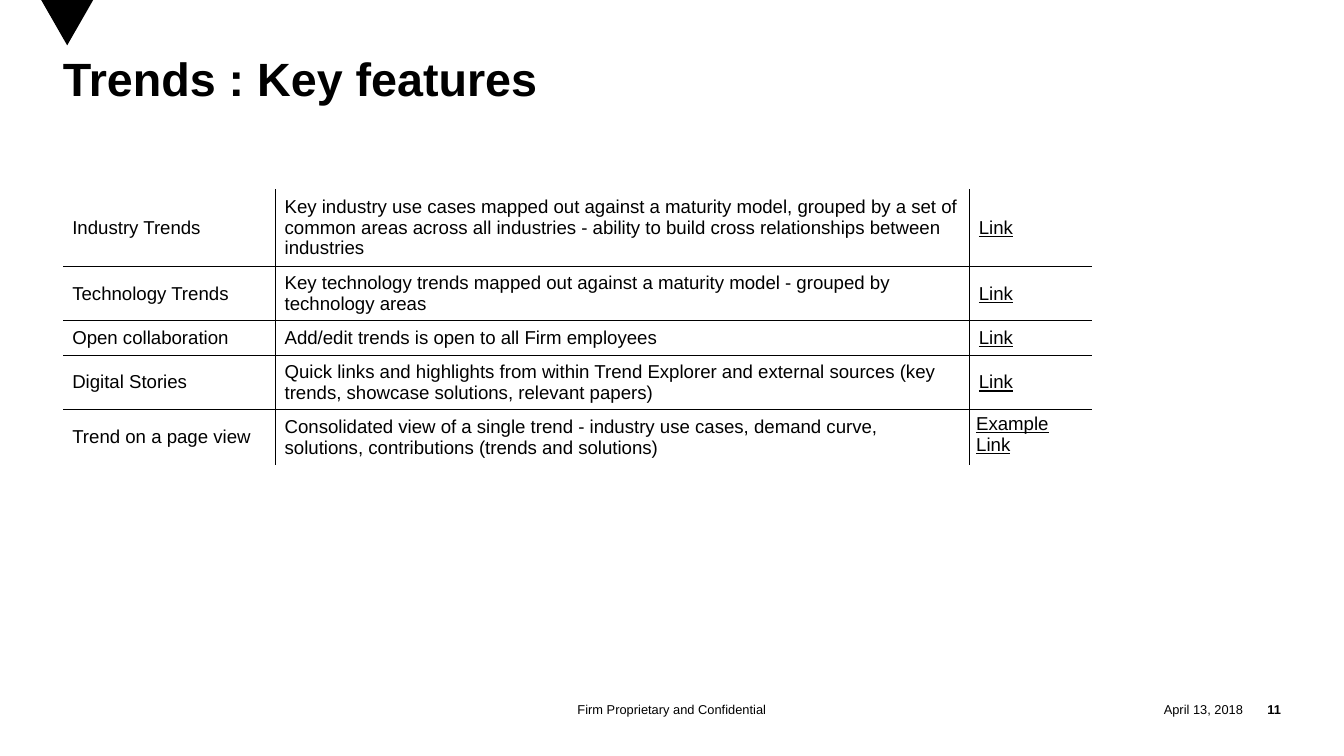
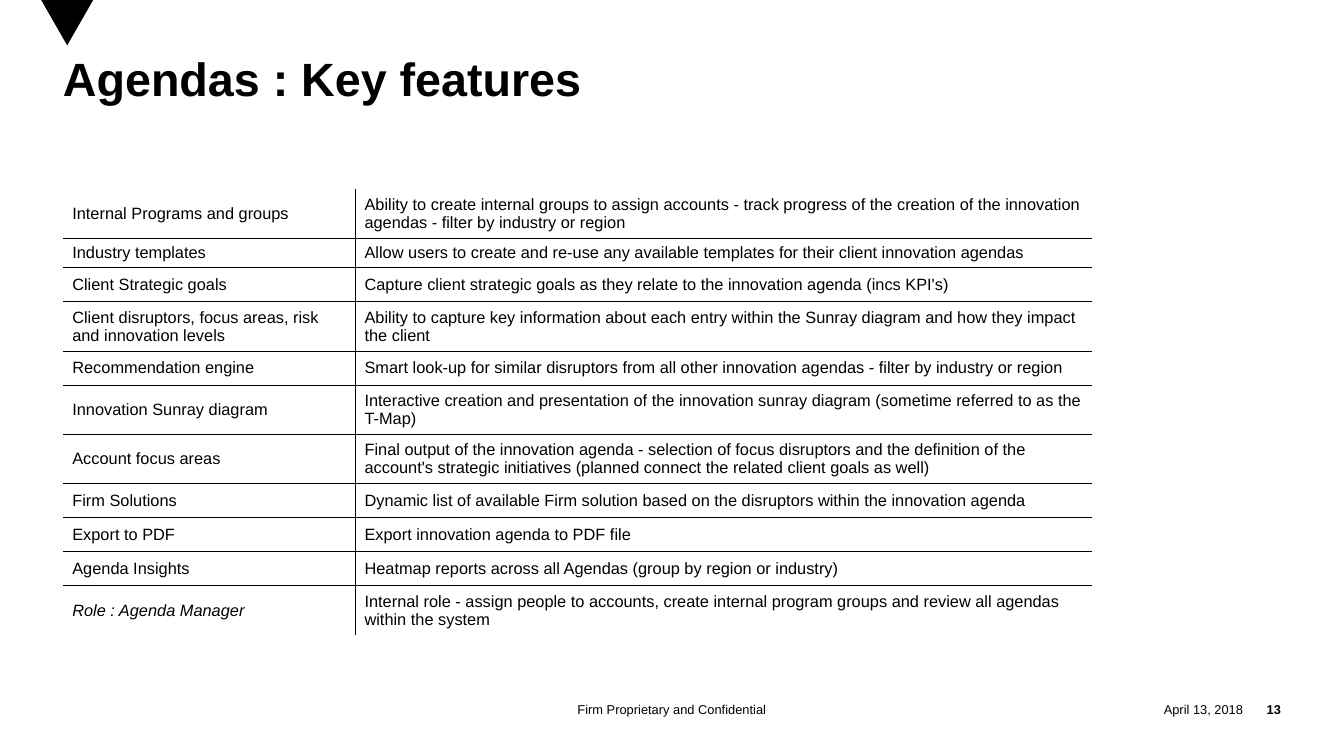
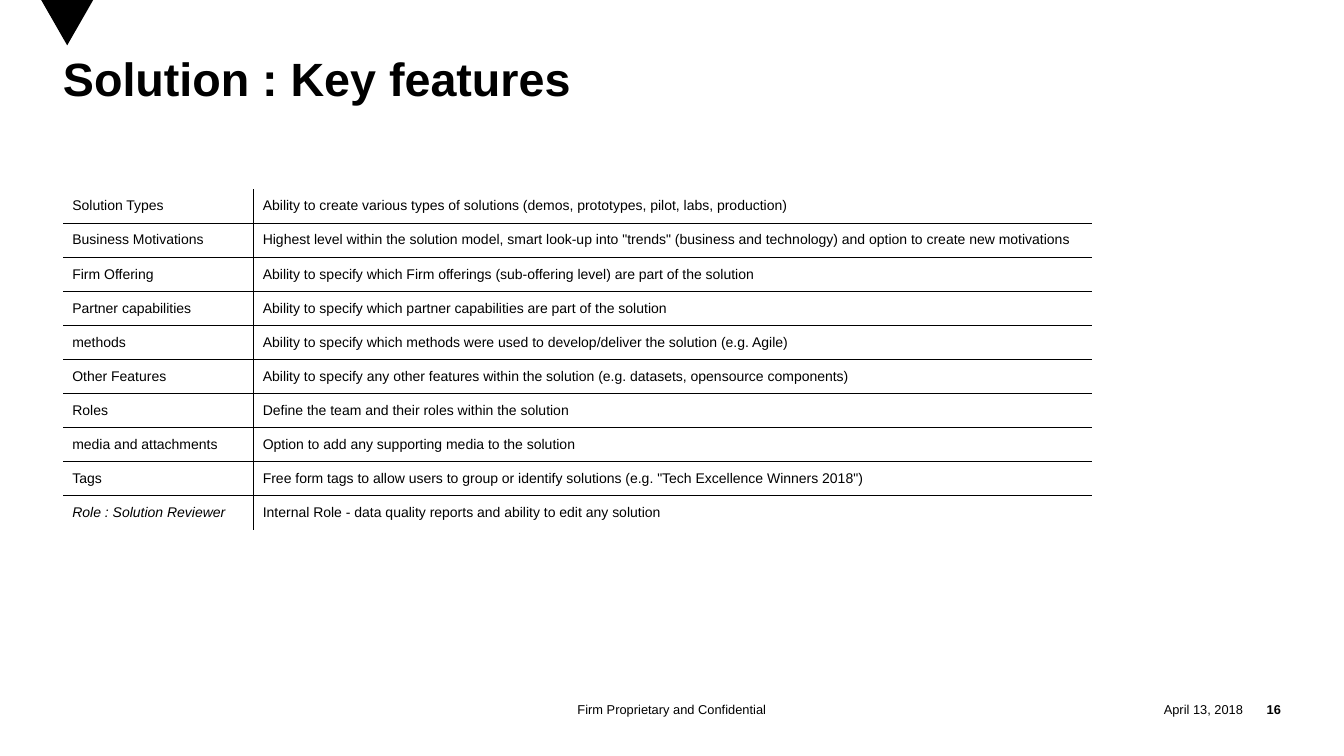
"""Builds three key-feature slides, each with a ruled table."""
from dataclasses import dataclass

from lxml import etree
from pptx import Presentation
from pptx import util as u
from pptx.dml.color import RGBColor
from pptx.enum import shapes, text
from pptx.oxml.ns import qn

Pt = u.Pt
INK = RGBColor(0x00, 0x00, 0x00)
FACE = "Arial"
PLAIN = "{2D5ABB26-0587-4C30-8999-92F81FD0307C}"
LEFT, TOP, WIDE = 54, 162, 882
TALL, SHORT = 29.2, 24.6
PAD, TIGHT = (8, 4.3), (5.76, 3.6)
LEAD, MID, RIGHT = text.PP_ALIGN.LEFT, text.PP_ALIGN.CENTER, text.PP_ALIGN.RIGHT


@dataclass(frozen=True)
class Row:
    cells: tuple[str, ...]
    height: float = TALL
    slant: bool = False


@dataclass(frozen=True)
class Page:
    title: str
    number: int
    size: int
    splits: tuple[float, ...]
    rows: tuple[Row, ...]


@dataclass(frozen=True)
class Label:
    box: tuple[float, float, float, float]
    size: int
    align: text.PP_ALIGN = LEAD
    bold: bool = False
    anchor: text.MSO_ANCHOR = text.MSO_ANCHOR.MIDDLE
    lines: float = 1.0


TITLE = Label((LEFT, 50.4, 1044, 111.6), 40, bold=True, anchor=text.MSO_ANCHOR.TOP, lines=0.85)
DATE = Label((936.7, 596.9, 128.9, 21.6), 11, RIGHT)
NUMBER = Label((1065.6, 596.9, 32.4, 21.6), 11, RIGHT, bold=True)
NOTICE = Label((378, 596.9, 396, 21.6), 11, MID)

PAGES = (
    Page("Trends : Key features", 11, 16, (182, 595), (
        Row(("Industry Trends", "Key industry use cases mapped out against a maturity model, grouped by a set of "
             "common areas across all industries - ability to build cross relationships between industries", "Link")),
        Row(("Technology Trends", "Key technology trends mapped out against a maturity model - grouped by "
             "technology areas", "Link")),
        Row(("Open collaboration", "Add/edit trends is open to all Firm employees", "Link")),
        Row(("Digital Stories", "Quick links and highlights from within Trend Explorer and external sources (key "
             "trends, showcase solutions, relevant papers)", "Link")),
        Row(("Trend on a page view", "Consolidated view of a single trend - industry use cases, demand curve, "
             "solutions, contributions (trends and solutions)", "Example Link")),
    )),
    Page("Agendas : Key features", 13, 14, (250.5,), (
        Row(("Internal Programs and groups", "Ability to create internal groups to assign accounts - track progress "
             "of the creation of the innovation agendas - filter by industry or region"), SHORT),
        Row(("Industry templates", "Allow users to create and re-use any available templates for their client "
             "innovation agendas"), SHORT),
        Row(("Client Strategic goals", "Capture client strategic goals as they relate to the innovation agenda "
             "(incs KPI's)")),
        Row(("Client disruptors, focus areas, risk and innovation levels", "Ability to capture key information about "
             "each entry within the Sunray diagram and how they impact the client")),
        Row(("Recommendation engine", "Smart look-up for similar disruptors from all other innovation agendas - "
             "filter by industry or region")),
        Row(("Innovation Sunray diagram", "Interactive creation and presentation of the innovation sunray diagram "
             "(sometime referred to as the T-Map)")),
        Row(("Account focus areas", "Final output of the innovation agenda - selection of focus disruptors and the "
             "definition of the account's strategic initiatives (planned connect the related client goals as well)")),
        Row(("Firm Solutions", "Dynamic list of available Firm solution based on the disruptors within the "
             "innovation agenda")),
        Row(("Export to PDF", "Export innovation agenda to PDF file")),
        Row(("Agenda Insights", "Heatmap reports across all Agendas (group by region or industry)")),
        Row(("Role : Agenda Manager", "Internal role - assign people to accounts, create internal program groups and "
             "review all agendas within the system"), slant=True),
    )),
    Page("Solution : Key features", 16, 12, (163.3,), (
        Row(("Solution Types", "Ability to create various types of solutions (demos, prototypes, pilot, labs, "
             "production)")),
        Row(("Business Motivations", "Highest level within the solution model, smart look-up into \"trends\" "
             "(business and technology) and option to create new motivations")),
        Row(("Firm Offering", "Ability to specify which Firm offerings (sub-offering level) are part of the "
             "solution")),
        Row(("Partner capabilities", "Ability to specify which partner capabilities are part of the solution")),
        Row(("methods", "Ability to specify which methods were used to develop/deliver the solution (e.g. Agile)")),
        Row(("Other Features", "Ability to specify any other features within the solution (e.g. datasets, "
             "opensource components)")),
        Row(("Roles", "Define the team and their roles within the solution")),
        Row(("media and attachments", "Option to add any supporting media to the solution")),
        Row(("Tags", "Free form tags to allow users to group or identify solutions (e.g. \"Tech Excellence Winners "
             "2018\")")),
        Row(("Role : Solution Reviewer", "Internal Role - data quality reports and ability to edit any solution"),
            slant=True),
    )),
)


def style(font, size: int) -> None:
    font.name, font.size = FACE, Pt(size)
    font.color.rgb = INK


def write(slide, label: Label, words: str) -> None:
    frame = slide.shapes.add_textbox(*map(Pt, label.box)).text_frame
    frame.word_wrap = True
    frame.vertical_anchor = label.anchor
    frame.margin_left = frame.margin_right = frame.margin_top = frame.margin_bottom = 0
    para = frame.paragraphs[0]
    para.text = words
    para.alignment = label.align
    para.line_spacing = label.lines
    style(para.font, label.size)
    para.font.bold = label.bold


def rule(cell, sides: list[str]) -> None:
    props = cell._tc.get_or_add_tcPr()
    for side in sides:
        line = etree.SubElement(props, qn(f"a:ln{side}"), w=str(Pt(1)))
        fill = etree.SubElement(line, qn("a:solidFill"))
        etree.SubElement(fill, qn("a:srgbClr"), val=str(INK))
    cell.fill.background()


def fill(cell, words: str, size: int, slant: bool, link: bool) -> None:
    loose = words != "Example Link"
    side, edge = map(Pt, PAD if loose else TIGHT)
    cell.margin_left = cell.margin_right = side
    cell.margin_top = cell.margin_bottom = edge
    cell.vertical_anchor = text.MSO_ANCHOR.MIDDLE if loose else text.MSO_ANCHOR.TOP
    para = cell.text_frame.paragraphs[0]
    para.text = words
    style(para.font, size)
    para.font.italic = slant
    para.font.underline = link


def grid(slide, page: Page) -> None:
    widths = (*page.splits, WIDE - sum(page.splits))
    deep, wide = len(page.rows), len(widths)
    high = sum(row.height for row in page.rows)
    frame = slide.shapes.add_table(deep, wide, Pt(LEFT), Pt(TOP), Pt(WIDE), Pt(high))
    table = frame.table
    table.first_row = table.horz_banding = False
    for mark in frame.element.iter(qn("a:tableStyleId")):
        mark.text = PLAIN
    for column, width in zip(table.columns, widths):
        column.width = Pt(width)
    for y, row in enumerate(page.rows):
        table.rows[y].height = Pt(row.height)
        for x, words in enumerate(row.cells):
            cell = table.cell(y, x)
            inner = {"L": x > 0, "R": x < wide - 1, "T": y > 0, "B": y < deep - 1}
            rule(cell, [side for side, shown in inner.items() if shown])
            fill(cell, words, page.size, row.slant and x == 0, x == 2)


def draw(deck, page: Page) -> None:
    slide = deck.slides.add_slide(deck.slide_layouts[6])
    wedge = slide.shapes.add_shape(shapes.MSO_SHAPE.FLOWCHART_MERGE, Pt(35.3), 0, Pt(44.6), Pt(38.9))
    wedge.shadow.inherit = False
    wedge.fill.solid()
    wedge.fill.fore_color.rgb = INK
    wedge.line.fill.background()
    write(slide, DATE, "April 13, 2018")
    write(slide, NUMBER, str(page.number))
    write(slide, NOTICE, "Firm Proprietary and Confidential")
    write(slide, TITLE, page.title)
    grid(slide, page)


def main() -> None:
    deck = Presentation()
    deck.slide_width, deck.slide_height = Pt(1152), Pt(648)
    for page in PAGES:
        draw(deck, page)
    deck.save("out.pptx")


if __name__ == "__main__":
    main()
